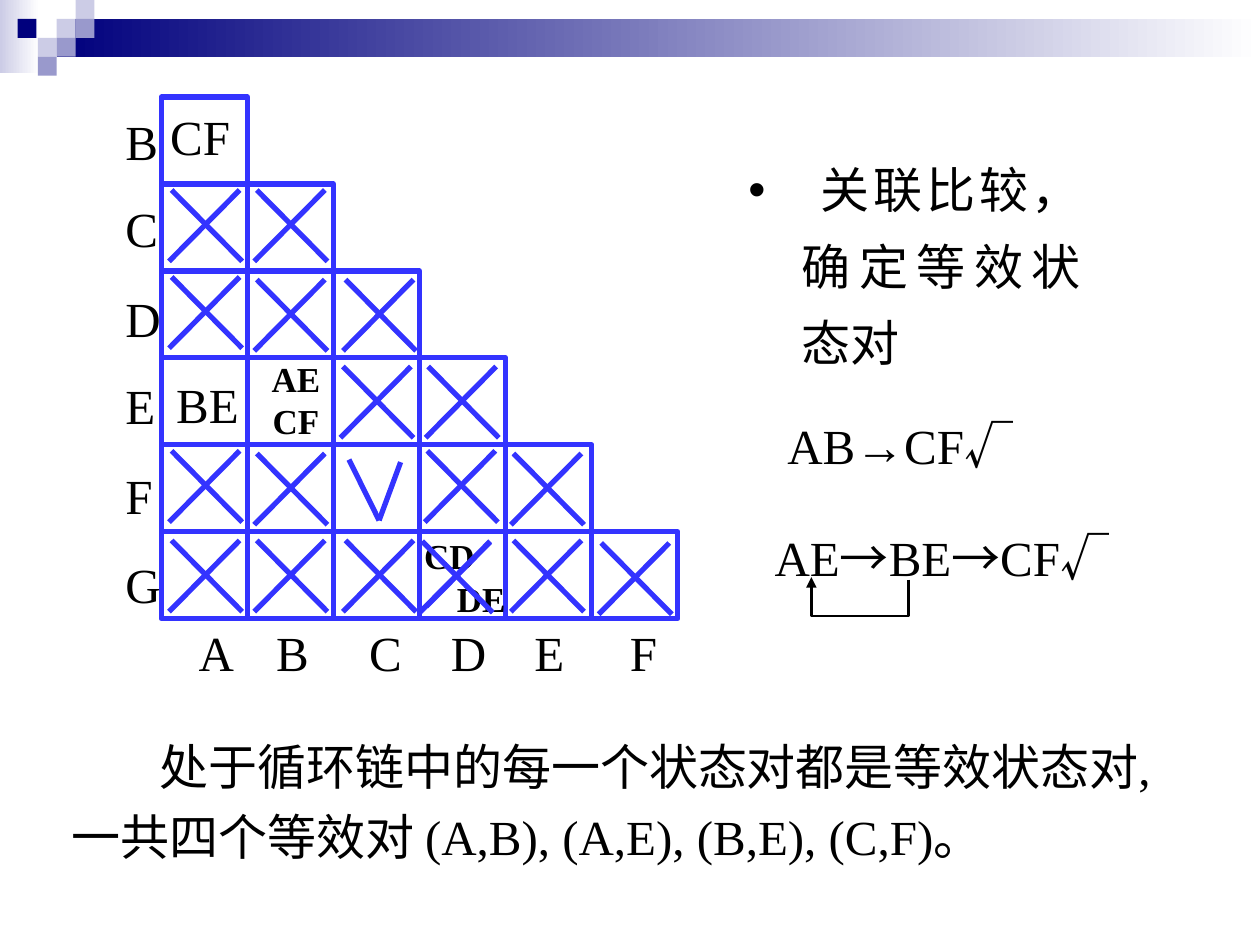
from dataclasses import dataclass
from typing import NamedTuple

from lxml.etree import SubElement
from pptx import Presentation
from pptx.dml.color import RGBColor
from pptx.enum.shapes import MSO_CONNECTOR, MSO_SHAPE
from pptx.enum.text import MSO_ANCHOR, MSO_AUTO_SIZE, PP_ALIGN
from pptx.oxml.ns import qn
from pptx.util import Inches, Pt

SLIDE_WIDTH, SLIDE_HEIGHT = Inches(10), Inches(7.5)
LATIN, CHINESE = "Times New Roman", "Noto Sans CJK SC"
BLUE, BLACK, NAVY, LILAC, VIOLET, WHITE = (
    "3333FF", "000000", "00007D", "CCCCE6", "9999CC", "FFFFFF")
SIZE = 6  # steps of the staircase chart


@dataclass
class Grid:
    left: float
    top: float
    column: float
    row: float

    def x(self, columns: float) -> int:
        return Inches(self.left + columns * self.column)

    def y(self, rows: float) -> int:
        return Inches(self.top + rows * self.row)

    def box(self, column: float, row: float, columns: float, rows: float) -> tuple:
        return (self.x(column), self.y(row),
                Inches(columns * self.column), Inches(rows * self.row))


class Block(NamedTuple):
    column: float
    row: float
    columns: float
    rows: float
    colors: tuple


class Label(NamedTuple):
    column: float
    row: float
    lines: tuple
    size: int = 28
    bold: bool = False


class Cross(NamedTuple):
    column: float
    row: float


MOSAIC = Grid(0, 0, 0.15, 0.15)
CHART = Grid(1.28, 0.77, 4.1 / SIZE, 0.69)

BLOCKS = [
    Block(0, 0, 2.07, 3.87, (LILAC, WHITE)),
    Block(3, 1, 63.67, 2, (NAVY, WHITE)),
    Block(3, 1, 1, 1, (LILAC,)),
    Block(4, 0, 1, 1, (LILAC,)),
    Block(4, 1, 1, 1, (VIOLET,)),
    Block(2, 2, 1, 1, (LILAC,)),
    Block(0.93, 1, 1, 1, (NAVY,)),
    Block(3, 2, 1, 1, (VIOLET,)),
    Block(2, 3, 1, 1, (VIOLET,)),
]
COLUMN_LABELS = zip("ABCDEF", (0.29, 1.19, 2.27, 3.22, 4.19, 5.3))
ROW_LABELS = zip("BCDEFG", (0.1, 1.1, 2.13, 3.13, 4.17, 5.19))
LABELS = [
    *(Label(column, 5.97, (name,)) for name, column in COLUMN_LABELS),
    *(Label(-0.56, row, (name,)) for name, row in ROW_LABELS),
    Label(-0.04, 0.04, ("CF",)),
    Label(0.03, 3.12, ("BE",)),
    Label(1.13, 2.93, ("AE", "CF"), 20, True),
    Label(2.91, 4.96, ("CD",), 20, True),
    Label(3.29, 5.46, ("DE",), 20, True),
]
# Top left corner of each cross, in cells
CROSSES = [
    Cross(0.09, 1.07), Cross(1.08, 1.07),
    Cross(0.09, 2.07), Cross(1.08, 2.1), Cross(2.11, 2.1),
    Cross(2.08, 3.1), Cross(3.07, 3.1),
    Cross(0.09, 4.07), Cross(1.08, 4.1), Cross(3.06, 4.07), Cross(4.06, 4.1),
    Cross(0.09, 5.1), Cross(1.08, 5.1), Cross(2.11, 5.1),
    Cross(3, 5.11), Cross(4.06, 5.1), Cross(5.08, 5.13),
]


def color(value: str) -> RGBColor:
    return RGBColor.from_string(value)


def share(left: float, top: float, width: float, height: float) -> tuple:
    """Turn percentages of the slide into lengths."""
    return tuple(int(part * side / 100) for part, side in zip(
        (left, top, width, height), (SLIDE_WIDTH, SLIDE_HEIGHT) * 2))


def apply(target, values: dict) -> None:
    for name, value in values.items():
        setattr(target, name, value)


def add_run(paragraph, text: str, font: str = LATIN, size: int = 28, bold: bool = False) -> None:
    run = paragraph.add_run()
    run.text = text
    apply(run.font, {"name": font, "size": Pt(size), "bold": bold})
    run.font.color.rgb = color(BLACK)
    SubElement(run._r.get_or_add_rPr(), qn("a:ea")).set("typeface", CHINESE)


def add_box(slide, box: tuple, wrap: bool):
    frame = slide.shapes.add_textbox(*box).text_frame
    apply(frame, {"word_wrap": wrap, "auto_size": MSO_AUTO_SIZE.NONE})
    return frame


def add_rectangle(slide, box: tuple):
    shape = slide.shapes.add_shape(MSO_SHAPE.RECTANGLE, *box)
    shape.shadow.inherit = False
    return shape


def draw_block(slide, block: Block) -> None:
    shape = add_rectangle(slide, MOSAIC.box(*block[:4]))
    shape.line.fill.background()
    if len(block.colors) == 1:
        shape.fill.solid()
        shape.fill.fore_color.rgb = color(block.colors[0])
        return
    shape.fill.gradient()
    shape.fill.gradient_angle = 0
    for stop, value in zip(shape.fill.gradient_stops, block.colors):
        stop.color.rgb = color(value)


def draw_cell(slide, column: int, row: int) -> None:
    cell = add_rectangle(slide, CHART.box(column, row, 1, 1))
    cell.fill.background()
    cell.line.color.rgb = color(BLUE)
    cell.line.width = Pt(3)


def draw_line(slide, start: tuple, end: tuple, width: float = 3) -> None:
    line = slide.shapes.add_connector(
        MSO_CONNECTOR.STRAIGHT, CHART.x(start[0]), CHART.y(start[1]),
        CHART.x(end[0]), CHART.y(end[1]))
    line.line.color.rgb = color(BLUE)
    line.line.width = Pt(width)
    SubElement(line._element.spPr, qn("a:effectLst"))


def draw_cross(slide, cross: Cross) -> None:
    left, top = cross
    draw_line(slide, (left + 0.03, top), (left + 0.85, top + 0.82))
    draw_line(slide, (left + 0.82, top), (left, top + 0.82))


def draw_label(slide, label: Label) -> None:
    frame = add_box(slide, CHART.box(label.column, label.row, 0.87, 0.83), False)
    for index, text in enumerate(label.lines):
        paragraph = frame.add_paragraph() if index else frame.paragraphs[0]
        if len(label.lines) > 1:
            paragraph.alignment = PP_ALIGN.CENTER
        add_run(paragraph, text, size=label.size, bold=label.bold)


def draw_chain(slide, box: tuple, runs: list) -> None:
    paragraph = add_box(slide, box, False).paragraphs[0]
    for text, font in runs:
        add_run(paragraph, text, font)


def draw_return_arrow(slide) -> None:
    left, top, width, height = share(64.4, 61.07, 7.7, 4.13)
    right, bottom = left + width, top + height
    builder = slide.shapes.build_freeform(right, top + Inches(0.02), scale=1.0)
    builder.add_line_segments([(right, bottom), (left, bottom), (left, top)], close=False)
    arrow = builder.convert_to_shape()
    arrow.shadow.inherit = False
    arrow.fill.background()
    arrow.line.color.rgb = color(BLACK)
    arrow.line.width = Pt(1.5)
    SubElement(arrow.line._get_or_add_ln(), qn("a:tailEnd")).set("type", "triangle")


def fill_body(body) -> None:
    apply(body, dict(zip(("left", "top", "width", "height"), share(58.4, 14.4, 28.4, 25.6))))
    apply(body.text_frame, {"word_wrap": True, "auto_size": MSO_AUTO_SIZE.NONE,
                            "vertical_anchor": MSO_ANCHOR.TOP})
    paragraph = body.text_frame.paragraphs[0]
    properties = paragraph._p.get_or_add_pPr()
    properties.set("marL", str(Inches(0.42)))
    properties.set("indent", str(-Inches(0.42)))
    SubElement(properties, qn("a:buChar")).set("char", "•")
    apply(paragraph, {"alignment": PP_ALIGN.JUSTIFY, "line_spacing": 1.3, "space_before": Pt(0)})
    add_run(paragraph, " 关联比较，确定等效状态对")


def main() -> None:
    presentation = Presentation()
    apply(presentation, {"slide_width": SLIDE_WIDTH, "slide_height": SLIDE_HEIGHT})
    slide = presentation.slides.add_slide(presentation.slide_layouts[1])
    title = slide.shapes.title._element
    title.getparent().remove(title)

    # Header mosaic
    for block in BLOCKS:
        draw_block(slide, block)

    # Staircase chart with its marks
    draw_line(slide, (3.09, 5.87), (3.83, 5.13), 1.5)
    for row in range(SIZE):
        for column in range(row + 1):
            draw_cell(slide, column, row)
    for label in LABELS:
        draw_label(slide, label)
    for cross in CROSSES:
        draw_cross(slide, cross)
    for start in ((2.18, 4.17), (2.78, 4.2)):
        draw_line(slide, start, (2.53, 4.87))

    # Comparison step and its chains
    fill_body(slide.placeholders[1])
    draw_chain(slide, share(61.5, 43.33, 22.5, 7.6), [("AB→CF", LATIN), ("√", CHINESE)])
    draw_chain(slide, share(60.5, 55.2, 28.6, 7.6), [
        ("AE", LATIN), ("→", CHINESE), ("BE", LATIN),
        ("→", CHINESE), ("CF", LATIN), ("√", CHINESE)])
    draw_return_arrow(slide)

    # Conclusion
    paragraph = add_box(slide, share(4.7, 76, 90, 16.27), True).paragraphs[0]
    paragraph.line_spacing = 1.2
    paragraph._p.get_or_add_pPr().set("indent", str(Inches(0.7)))
    add_run(paragraph, "处于循环链中的每一个状态对都是等效状态对,"
                       "一共四个等效对 (A,B), (A,E), (B,E), (C,F)。")
    presentation.save("out.pptx")


if __name__ == "__main__":
    main()
